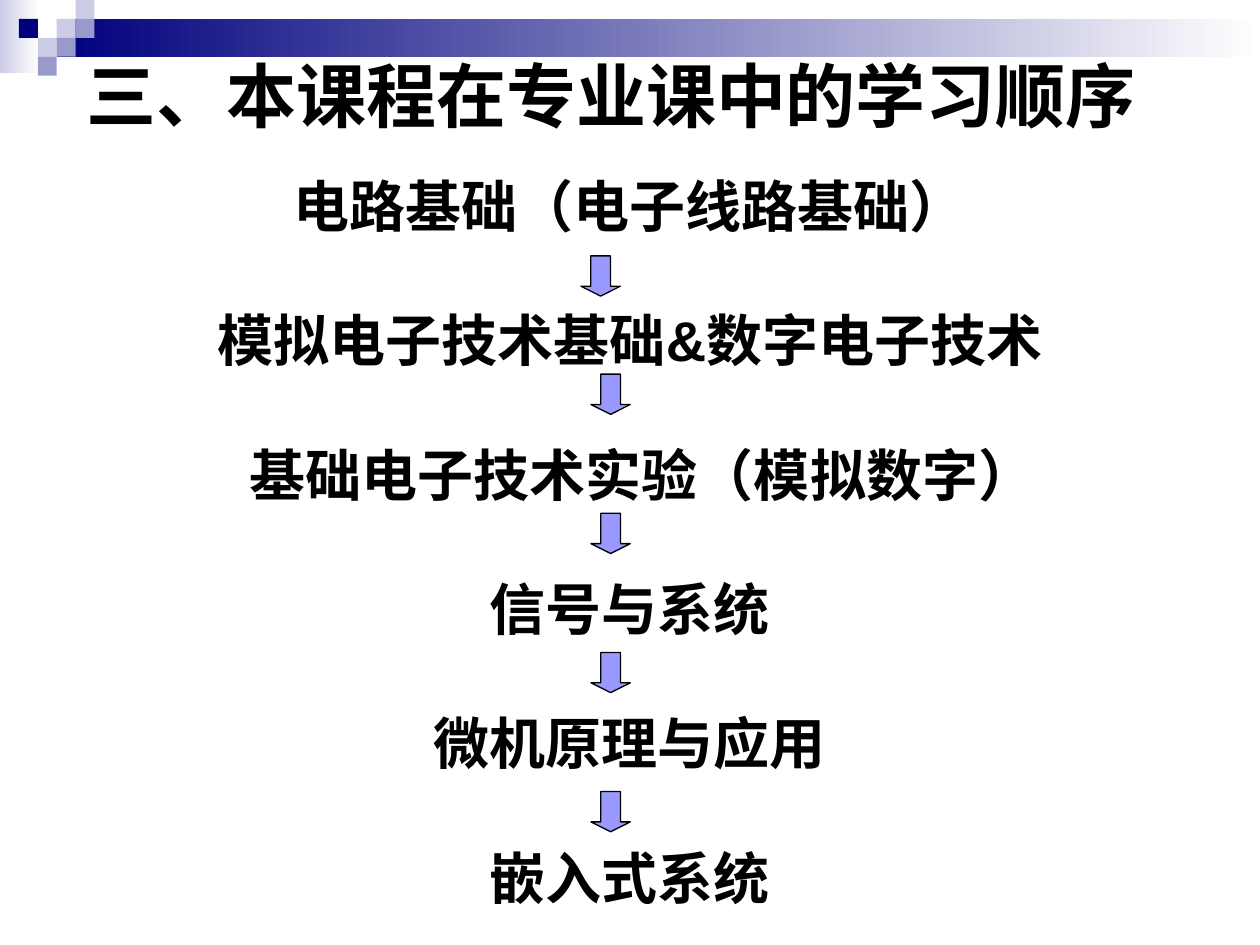
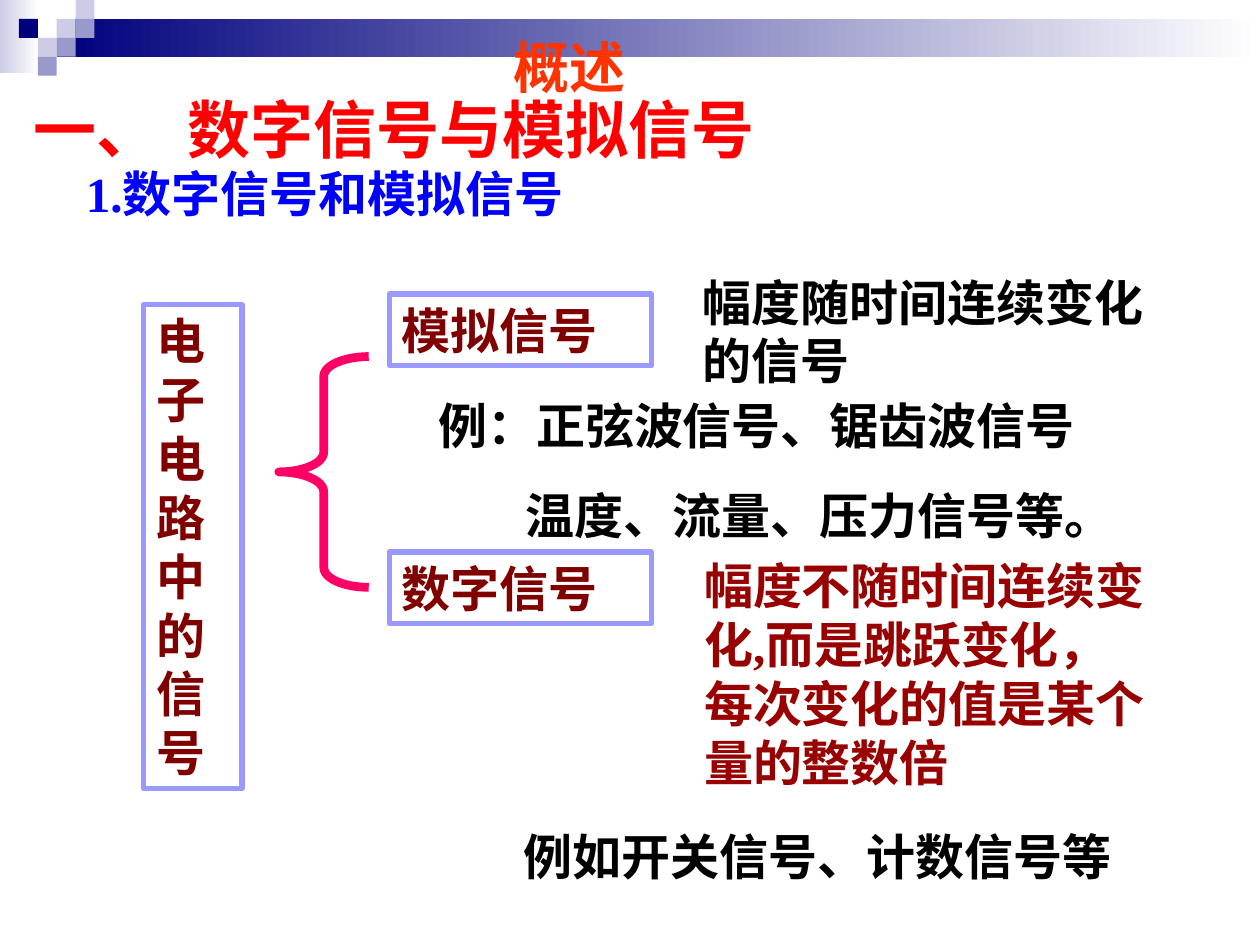
import pptx
import pptx.dml.color
import pptx.enum.shapes
import pptx.enum.text
import pptx.oxml
import pptx.util
from pptx.oxml.ns import qn

Pt = pptx.util.Pt
RGBColor = pptx.dml.color.RGBColor
MSO_SHAPE = pptx.enum.shapes.MSO_SHAPE
PP_ALIGN = pptx.enum.text.PP_ALIGN
MSO_ANCHOR = pptx.enum.text.MSO_ANCHOR

# Colours
BLACK = RGBColor(0x00, 0x00, 0x00)
WHITE = RGBColor(0xFF, 0xFF, 0xFF)
NAVY = RGBColor(0x00, 0x00, 0x7D)
LAVENDER = RGBColor(0xCC, 0xCC, 0xE6)
SLATE = RGBColor(0x99, 0x99, 0xCC)
PERIWINKLE = RGBColor(0x99, 0x99, 0xFF)
RED = RGBColor(0xFF, 0x00, 0x00)
ORANGE = RGBColor(0xFF, 0x33, 0x00)
BLUE = RGBColor(0x00, 0x00, 0xFF)
MAROON = RGBColor(0x80, 0x00, 0x00)
DARK_RED = RGBColor(0x99, 0x00, 0x00)
PINK = RGBColor(0xFF, 0x00, 0x66)

SANS = "Arial"
SERIF = "Times New Roman"


def add_plain_shape(slide, kind, left, top, width, height,
                    fill=None, line=None, line_width=0.75):
    shape = slide.shapes.add_shape(kind, Pt(left), Pt(top), Pt(width), Pt(height))
    shape.shadow.inherit = False
    if fill is None:
        shape.fill.background()
    else:
        shape.fill.solid()
        shape.fill.fore_color.rgb = fill
    if line is None:
        shape.line.fill.background()
    else:
        shape.line.color.rgb = line
        shape.line.width = Pt(line_width)
    return shape


def write_text(shape, text, size, font, color, align=PP_ALIGN.LEFT,
               anchor=MSO_ANCHOR.TOP, gap=0, indents=(), wrap=True):
    """Write one paragraph per line; indents gives left margins by line."""
    frame = shape.text_frame
    frame.text = text
    frame.word_wrap = wrap
    frame.vertical_anchor = anchor
    for index, paragraph in enumerate(frame.paragraphs):
        paragraph.alignment = align
        if index:
            paragraph.space_before = Pt(gap)
        if index < len(indents) and indents[index]:
            paragraph._p.get_or_add_pPr().set("marL", str(Pt(indents[index])))
        for run in paragraph.runs:
            run.font.size = Pt(size)
            run.font.name = font
            run.font.bold = True
            run.font.color.rgb = color


presentation = pptx.Presentation()
presentation.slide_width = Pt(720)
presentation.slide_height = Pt(540)
sequence_slide, signals_slide = [
    presentation.slides.add_slide(presentation.slide_layouts[6]) for _ in range(2)]

# Shared header: two fading bands and a mosaic of small squares
BANDS = [(0, 0, 22.3, 41.8, LAVENDER), (32.4, 10.8, 687.6, 21.6, NAVY)]
SQUARE = 10.8
MOSAIC = [(3, 1, LAVENDER), (4, 0, LAVENDER), (4, 1, SLATE), (2, 2, LAVENDER),
          (1, 1, NAVY), (3, 2, SLATE), (2, 3, SLATE)]
for slide in (sequence_slide, signals_slide):
    for left, top, width, height, color in BANDS:
        band = add_plain_shape(slide, MSO_SHAPE.RECTANGLE, left, top, width, height)
        band.fill.gradient()
        band.fill.gradient_angle = 0
        for stop, stop_color, position in zip(
                band.fill.gradient_stops, (color, WHITE), (0, 1)):
            stop.color.rgb = stop_color
            stop.position = position
    for column, row, color in MOSAIC:
        add_plain_shape(slide, MSO_SHAPE.RECTANGLE, column * SQUARE, row * SQUARE,
                        SQUARE, SQUARE, fill=color)

# Slide 1: title and course sequence
title = sequence_slide.shapes.add_textbox(Pt(42.5), Pt(0), Pt(648), Pt(108))
write_text(title, "三、本课程在专业课中的学习顺序", 40, SANS, BLACK,
           anchor=MSO_ANCHOR.MIDDLE)

COURSES = [
    "电路基础（电子线路基础）",
    "模拟电子技术基础&数字电子技术",
    "基础电子技术实验（模拟数字）",
    "信号与系统",
    "微机原理与应用",
    "嵌入式系统",
]
courses = sequence_slide.shapes.add_textbox(Pt(36.7), Pt(94.3), Pt(646.6), Pt(430))
write_text(courses, "\n".join(COURSES), 32, SANS, BLACK, align=PP_ALIGN.CENTER,
           gap=38.4, indents=(0, 0, 14))

# Arrows between the courses
arrow_places = [(332, 146.2)] + [(337.7, 213.8 + 79.5 * step) for step in range(4)]
for left, top in arrow_places:
    arrow = add_plain_shape(sequence_slide, MSO_SHAPE.DOWN_ARROW, left, top,
                            22.5, 23, fill=PERIWINKLE, line=BLACK)
    arrow.adjustments[1] = 0.25

# Slide 2: framed terms and the brace that joins them
TERMS = [
    ("电子电路中的信号", 82.1, 174.2, 56.2, 276.5),
    ("模拟信号", 222.5, 168, 149.8, 41),
    ("数字信号", 222.5, 315.4, 149.8, 41),
]
for text, left, top, width, height in TERMS:
    term = add_plain_shape(signals_slide, MSO_SHAPE.RECTANGLE, left, top, width, height,
                           line=PERIWINKLE, line_width=3)
    write_text(term, text, 28, SERIF, MAROON)

brace = add_plain_shape(signals_slide, MSO_SHAPE.LEFT_BRACE, 159.3, 203.8, 51.4, 131.8,
                        line=PINK, line_width=5)
brace.adjustments[0] = 0.22

# Headings and explanations: text, place, size, colour, indents, wrap
NOTES = [
    ("一、\t数字信号与模拟信号", (12.2, 48.2, 460.8, 50.4), 36, RED, (), True),
    ("1.数字信号和模拟信号", (36, 90, 409, 41), 28, BLUE, (6,), True),
    ("幅度随时间连续变化的信号", (394.6, 152, 270, 75), 28, BLACK, (), True),
    ("例：正弦波信号、锯齿波信号\n温度、流量、压力信号等。",
     (243.4, 222.5, 442.8, 92.2), 28, BLACK, (0, 50), True),
    ("幅度不随时间连续变化,而是跳跃变化，每次变化的值是某个量的整数倍",
     (395.3, 314, 270, 141.8), 28, DARK_RED, (), True),
    ("例如开关信号、计数信号等", (292.3, 468.7, 350, 41), 28, BLACK, (), False),
    ("概述", (286.6, 15.1, 78.5, 46), 32, ORANGE, (), False),
]
for text, place, size, color, indents, wrap in NOTES:
    note = signals_slide.shapes.add_textbox(*[Pt(length) for length in place])
    write_text(note, text, size, SERIF, color, gap=17.5, indents=indents, wrap=wrap)
    if "\t" in text:
        properties = note.text_frame.paragraphs[0]._p.get_or_add_pPr()
        tab_list = properties.makeelement(qn("a:tabLst"), {})
        tab_list.append(tab_list.makeelement(
            qn("a:tab"), {"pos": str(Pt(88)), "algn": "l"}))
        properties.append(tab_list)

presentation.save("out.pptx")
